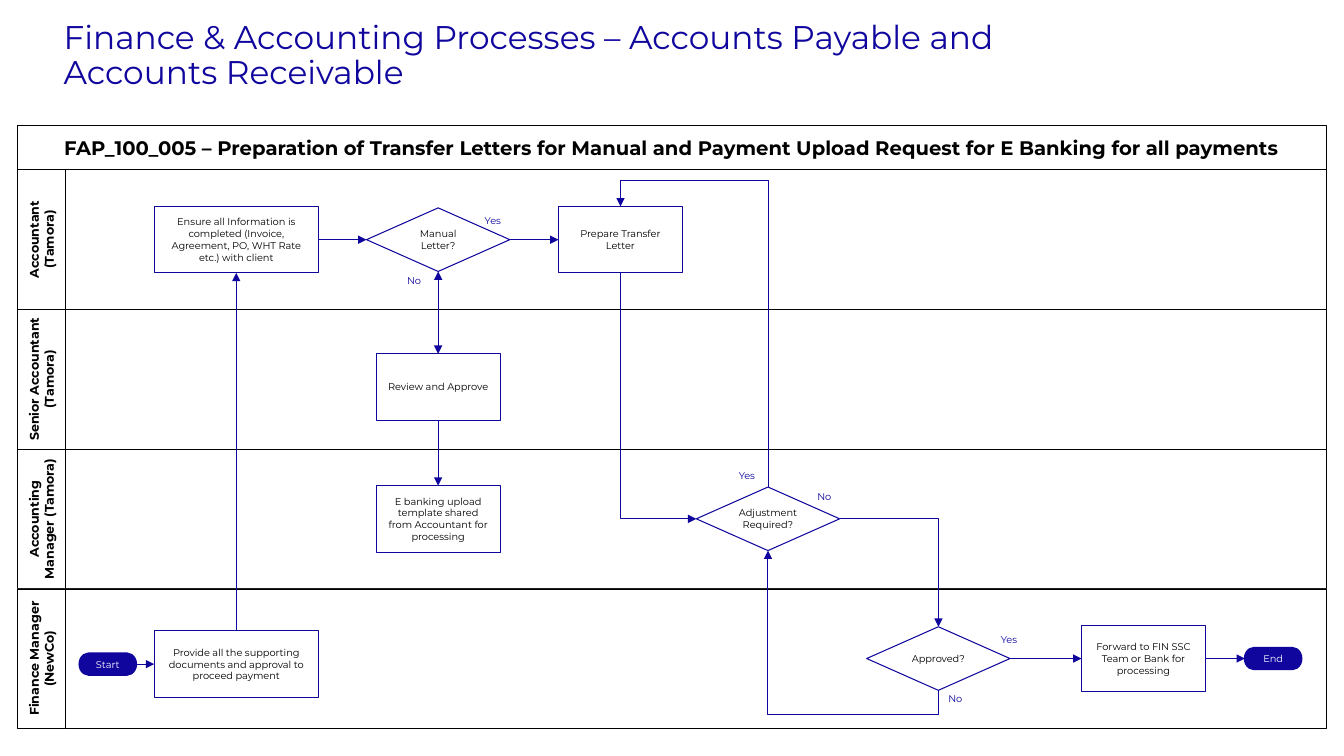
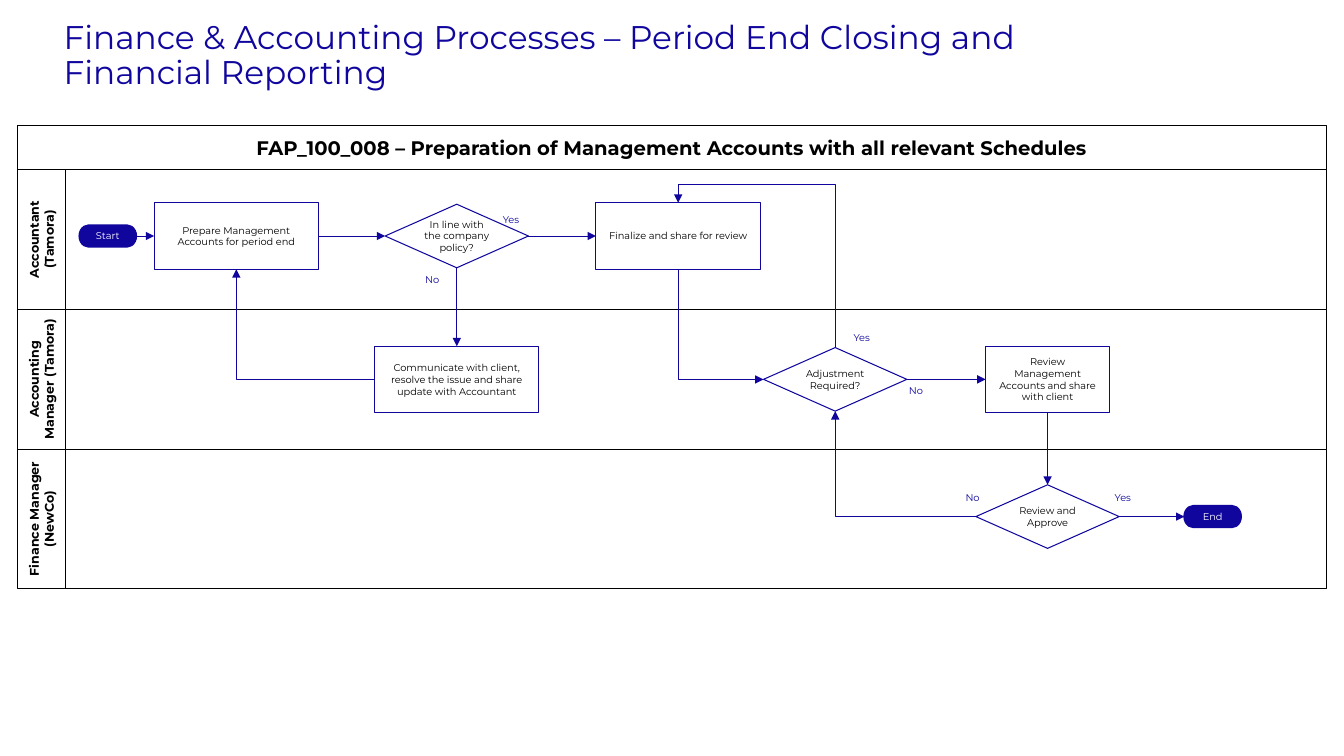
from dataclasses import dataclass

from lxml import etree
from pptx import Presentation
from pptx.dml.color import RGBColor
from pptx.enum.shapes import MSO_CONNECTOR, MSO_SHAPE
from pptx.enum.text import MSO_ANCHOR, MSO_AUTO_SIZE, PP_ALIGN
from pptx.oxml.ns import qn
from pptx.util import Pt

RECT = MSO_SHAPE.RECTANGLE
PROCESS = MSO_SHAPE.FLOWCHART_PROCESS
CHOICE = MSO_SHAPE.FLOWCHART_DECISION
PILL = MSO_SHAPE.FLOWCHART_TERMINATOR
STRAIGHT, ELBOW = MSO_CONNECTOR.STRAIGHT, MSO_CONNECTOR.ELBOW
LEFT_TEXT, CENTER = PP_ALIGN.LEFT, PP_ALIGN.CENTER
TOP_TEXT, MIDDLE, BOTTOM_TEXT = MSO_ANCHOR.TOP, MSO_ANCHOR.MIDDLE, MSO_ANCHOR.BOTTOM
NO_FIT, GROW = MSO_AUTO_SIZE.NONE, MSO_AUTO_SIZE.SHAPE_TO_FIT_TEXT

# Connection sites, numbered as the flowchart shapes number them
TOP, LEFT, BOTTOM, RIGHT = range(4)


@dataclass(frozen=True)
class Theme:
    font: str = "Montserrat"
    blue: RGBColor = RGBColor(0x10, 0x06, 0x9E)
    black: RGBColor = RGBColor(0, 0, 0)
    white: RGBColor = RGBColor(0xFE, 0xFF, 0xFE)
    title: float = 23.4
    head: float = 14
    lane: float = 9
    step: float = 7


THEME = Theme()
INSET = (7.2, 3.6)
TIGHT = (2, 1)
SLIM = (0, 3.6)

LANE_X, LANE_Y = 12.2, 121.2
NAME_W, LANE_W, LANE_H = 34.6, 900.7, 99.8
HEAD_H = 32


def write(shape, text, size=THEME.step, color=THEME.black, bold=False,
          align=CENTER, anchor=MIDDLE, inset=INSET, fit=NO_FIT, spacing=1.0):
    frame = shape.text_frame
    frame.text = text
    frame.word_wrap = True
    frame.auto_size = fit
    frame.vertical_anchor = anchor
    frame.margin_left = frame.margin_right = Pt(inset[0])
    frame.margin_top = frame.margin_bottom = Pt(inset[1])
    for para in frame.paragraphs:
        para.alignment = align
        para.line_spacing = spacing
        para.font.name = THEME.font
        para.font.size = Pt(size)
        para.font.bold = bold
        para.font.color.rgb = color


class Deck:
    def __init__(self):
        self.prs = Presentation()
        self.prs.slide_width, self.prs.slide_height = Pt(960), Pt(540)
        fill = self.prs.slide_master.background.fill
        fill.solid()
        fill.fore_color.rgb = THEME.white
        self.slide = None

    def page(self, title, head, lanes):
        """Start a slide with its title, heading band and swimlanes."""
        self.slide = self.prs.slides.add_slide(self.prs.slide_layouts[5])
        shape = self.slide.shapes.title
        shape.left, shape.top = Pt(38.2), Pt(29.5)
        shape.width, shape.height = Pt(736.6), Pt(39.6)
        write(shape, title, size=THEME.title, color=THEME.blue, align=LEFT_TEXT,
              anchor=BOTTOM_TEXT, spacing=0.9)

        band = self.band(LANE_X, LANE_Y - HEAD_H, NAME_W + LANE_W, HEAD_H)
        write(band, head, size=THEME.head, bold=True, inset=TIGHT)
        for row, name in enumerate(lanes):
            y = LANE_Y + row * LANE_H
            self.band(LANE_X + NAME_W, y, LANE_W, LANE_H)
            tab = self.band(LANE_X, y, NAME_W, LANE_H)
            write(tab, name, size=THEME.lane, bold=True, inset=TIGHT)
            tab.element.txBody.bodyPr.set("vert", "vert270")

    def shape(self, kind, x, y, w, h, fill, line, weight):
        shape = self.slide.shapes.add_shape(kind, Pt(x), Pt(y), Pt(w), Pt(h))
        shape.shadow.inherit = False
        shape.fill.solid()
        shape.fill.fore_color.rgb = fill
        shape.line.color.rgb = line
        shape.line.width = Pt(weight)
        return shape

    def band(self, x, y, w, h):
        return self.shape(RECT, x, y, w, h, THEME.white, THEME.black, 0.45)

    def node(self, kind, x, y, w, h, text, fill=THEME.white, weight=0.75, **form):
        """Add a flowchart shape centred on x, y."""
        shape = self.shape(kind, x - w / 2, y - h / 2, w, h, fill, THEME.blue, weight)
        write(shape, text, **form)
        return shape

    def step(self, x, y, text, wide=False):
        return self.node(PROCESS, x, y, 117.4 if wide else 88.6, 47.5, text)

    def choice(self, x, y, text):
        return self.node(CHOICE, x, y, 102.4, 45.4, text, inset=SLIM)

    def pill(self, x, y, text):
        return self.node(PILL, x, y, 40.4, 15.2, text, fill=THEME.blue,
                         weight=1.5, color=THEME.white)

    def label(self, x, y, text):
        box = self.slide.shapes.add_textbox(Pt(x), Pt(y), Pt(32.4), Pt(15.8))
        write(box, text, color=THEME.blue, align=LEFT_TEXT, anchor=TOP_TEXT, fit=GROW)

    def link(self, start, out, end, into, rail=None, both=False):
        """Join two sites; facing sides give a straight arrow, others an elbow.

        rail is the height of the middle run of a three-part elbow.
        """
        plain = (out - into) % 4 == 2
        line = self.slide.shapes.add_connector(STRAIGHT if plain else ELBOW, 0, 0, 0, 0)
        line.begin_connect(start, out)
        line.end_connect(end, into)
        if not plain:
            self.bend(line, out, rail)
        line.line.color.rgb = THEME.blue
        line.line.width = Pt(0.5 if plain and not both else 0.75)
        props = line.element.spPr
        stroke = props.find(qn("a:ln"))
        for tip in ("a:headEnd", "a:tailEnd") if both else ("a:tailEnd",):
            etree.SubElement(stroke, qn(tip), type="triangle")
        etree.SubElement(props, qn("a:effectLst"))

    def bend(self, line, out, rail):
        """Turn an elbow so that its first run leaves by the given side."""
        x, y = line.begin_x, line.begin_y
        dx, dy = line.end_x - x, line.end_y - y
        turn, along, cross = {
            RIGHT: (0, dx, dy),
            BOTTOM: (90, dy, -dx),
            LEFT: (180, -dx, -dy),
            TOP: (270, -dy, dx),
        }[out]
        w, h = abs(along), abs(cross)
        line.left, line.top = int(x + (dx - w) / 2), int(y + (dy - h) / 2)
        line.width, line.height = w, h
        props = line.element.spPr
        frame = props.find(qn("a:xfrm"))
        frame.set("rot", str(turn * 60000))
        frame.set("flipH", str(int(along < 0)))
        frame.set("flipV", str(int(cross < 0)))
        geom = props.find(qn("a:prstGeom"))
        if rail is None:
            geom.set("prst", "bentConnector2")
        else:
            ratio = round((Pt(rail) - y) / dy * 100000)
            etree.SubElement(geom.find(qn("a:avLst")), qn("a:gd"),
                             name="adj1", fmla=f"val {ratio}")


def letters(deck):
    deck.page(
        "Finance & Accounting Processes – Accounts Payable and Accounts Receivable",
        "FAP_100_005 – Preparation of Transfer Letters for Manual and Payment "
        "Upload Request for E Banking for all payments",
        ["Accountant\n(Tamora)", "Senior Accountant\n(Tamora)",
         "Accounting Manager (Tamora)", "Finance Manager\n(NewCo)"])
    high, mid, low, base = 171.2, 370.6, 470.4, 474.4
    first, second = 168.8, 313

    start = deck.pill(77, base, "Start")
    provide = deck.step(first, base, "Provide all the supporting documents and "
                        "approval to proceed payment", wide=True)
    ensure = deck.step(first, high, "Ensure all Information is completed (Invoice, "
                       "Agreement, PO, WHT Rate etc.) with client", wide=True)
    manual = deck.choice(second, high, "Manual Letter?")
    prepare = deck.step(443.2, high, "Prepare Transfer Letter")
    review = deck.step(second, 276.5, "Review and Approve")
    upload = deck.step(second, mid, "E banking upload template shared from "
                       "Accountant for processing")
    adjust = deck.choice(548.6, mid, "Adjustment Required?")
    approve = deck.choice(670.3, low, "Approved?")
    forward = deck.step(816.8, low, "Forward to FIN SSC Team or Bank for processing")
    end = deck.pill(909.4, low, "End")

    deck.link(start, RIGHT, provide, LEFT)
    deck.link(provide, TOP, ensure, BOTTOM)
    deck.link(ensure, RIGHT, manual, LEFT)
    deck.link(manual, RIGHT, prepare, LEFT)
    deck.link(manual, BOTTOM, review, TOP, both=True)
    deck.link(review, BOTTOM, upload, TOP)
    deck.link(prepare, BOTTOM, adjust, LEFT)
    deck.link(adjust, TOP, prepare, TOP, rail=128.9)
    deck.link(adjust, RIGHT, approve, TOP)
    deck.link(approve, BOTTOM, adjust, BOTTOM, rail=510.6)
    deck.link(approve, RIGHT, forward, LEFT)
    deck.link(forward, RIGHT, end, LEFT)

    for x, y, text in [(339.1, 149.8, "Yes"), (283.7, 193, "No"),
                       (520.6, 331.9, "Yes"), (576.7, 347, "No"),
                       (707.8, 449.3, "Yes"), (670.3, 491, "No")]:
        deck.label(x, y, text)


def closing(deck):
    deck.page(
        "Finance & Accounting Processes – Period End Closing and Financial Reporting",
        "FAP_100_008 – Preparation of Management Accounts with all relevant Schedules",
        ["Accountant\n(Tamora)", "Accounting Manager (Tamora)",
         "Finance Manager\n(NewCo)"])
    high, mid, low = 168.6, 271, 369
    first, second, last = 168.8, 326.3, 748.3

    start = deck.pill(77, high, "Start")
    prepare = deck.step(first, high, "Prepare Management Accounts for period end",
                        wide=True)
    policy = deck.choice(second, high, "In line with the company policy?")
    final = deck.step(484.4, high, "Finalize and share for review", wide=True)
    resolve = deck.step(second, mid, "Communicate with client, resolve the issue "
                        "and share update with Accountant", wide=True)
    adjust = deck.choice(596.6, mid, "Adjustment Required?")
    review = deck.step(last, mid, "Review Management Accounts and share with client")
    approve = deck.choice(last, low, "Review and Approve")
    end = deck.pill(866.2, low, "End")

    deck.link(start, RIGHT, prepare, LEFT)
    deck.link(prepare, RIGHT, policy, LEFT)
    deck.link(policy, RIGHT, final, LEFT)
    deck.link(policy, BOTTOM, resolve, TOP)
    deck.link(resolve, LEFT, prepare, BOTTOM)
    deck.link(final, BOTTOM, adjust, LEFT)
    deck.link(adjust, TOP, final, TOP, rail=131.8)
    deck.link(adjust, RIGHT, review, LEFT)
    deck.link(review, BOTTOM, approve, TOP)
    deck.link(approve, LEFT, adjust, BOTTOM)
    deck.link(approve, RIGHT, end, LEFT)

    for x, y, text in [(352.1, 149, "Yes"), (296.6, 192.2, "No"),
                       (602.6, 233.3, "Yes"), (642.2, 271.4, "No"),
                       (789.1, 347.8, "Yes"), (682.6, 347.8, "No")]:
        deck.label(x, y, text)


def main():
    deck = Deck()
    letters(deck)
    closing(deck)
    deck.prs.save("out.pptx")


if __name__ == "__main__":
    main()
